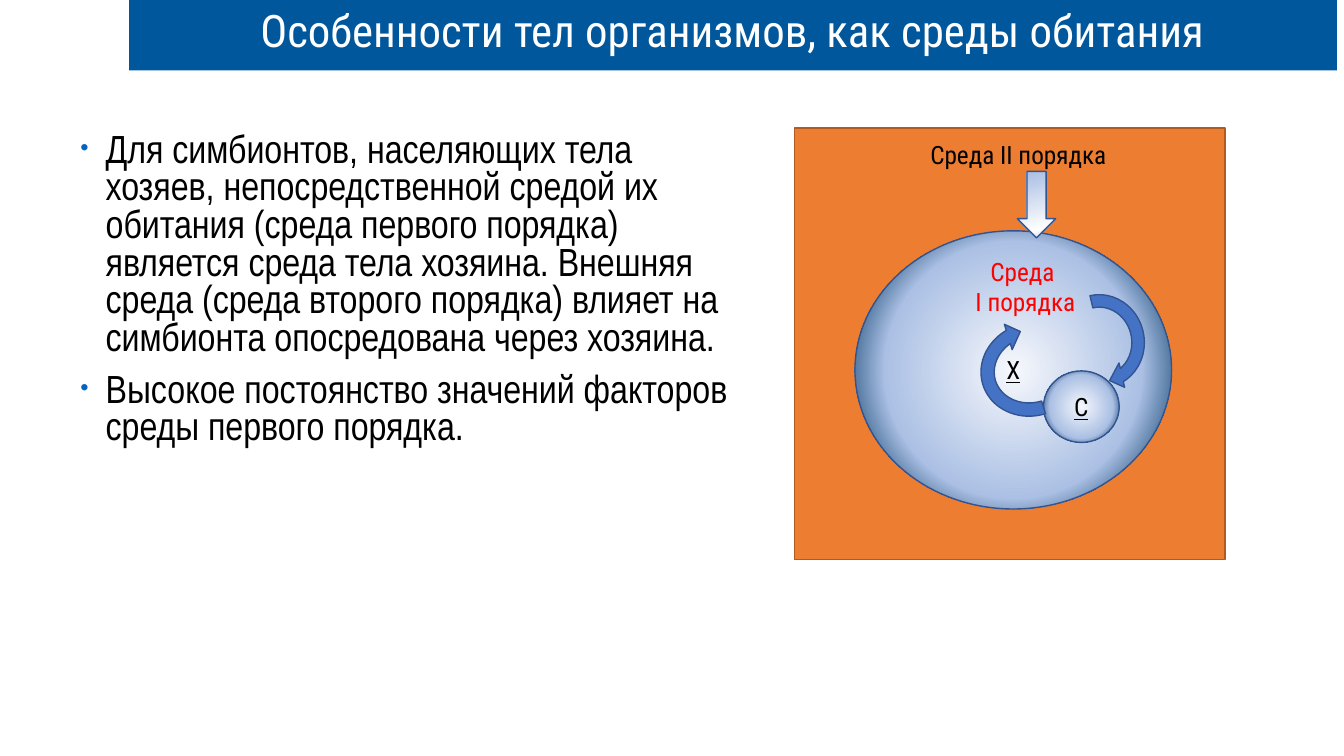
"""Build a slide on the bodies of organisms as a habitat."""
import dataclasses

import pptx
import pptx.dml.color
import pptx.enum.shapes
import pptx.enum.text
import pptx.oxml
import pptx.oxml.ns
import pptx.util

Inches = pptx.util.Inches
Pt = pptx.util.Pt
Kind = pptx.enum.shapes.MSO_SHAPE
Align = pptx.enum.text.PP_ALIGN
Anchor = pptx.enum.text.MSO_ANCHOR


@dataclasses.dataclass(frozen=True)
class Theme:
    """Hold the colours, fonts and sizes of the slide."""
    banner: str = "00579C"
    host: str = "ED7D31"
    rim: str = "AF5C24"
    edge: str = "325491"
    arrow: str = "4472C4"
    bullet: str = "0563C1"
    black: str = "000000"
    white: str = "FFFFFF"
    red: str = "FF0000"
    cell: tuple = ((0, "F6F8FC"), (61, "ABC0E4"), (84, "1F4E79"), (100, "C7D5ED"))
    flow: tuple = ((0, "F6F8FC"), (5, "ABC0E4"), (84, "FFFFFF"), (100, "C7D5ED"))
    head: str = "Roboto Condensed"
    text: str = "Arial Narrow"
    title: int = 32
    body: int = 28
    label: int = 18


THEME = Theme()
ROUND = ('<a:path path="circle"><a:fillToRect l="50000" t="50000" '
         'r="50000" b="50000"/></a:path>')
SLANT = '<a:lin ang="20760000" scaled="0"/>'
POINTS = (
    "Для симбионтов, населяющих тела хозяев, непосредственной средой их обитания "
    "(среда первого порядка) является среда тела хозяина. Внешняя среда (среда "
    "второго порядка) влияет на симбионта опосредована через хозяина.",
    "Высокое постоянство значений факторов среды первого порядка.",
)


def color(code):
    """Turn a hex code into a colour."""
    return pptx.dml.color.RGBColor.from_string(code)


def assign(item, values):
    """Set each value of a dict on an object."""
    for name, value in values.items():
        setattr(item, name, value)


def xml(tag, inner="", attrs=""):
    """Make one drawing element."""
    return pptx.oxml.parse_xml(
        f'<a:{tag} {pptx.oxml.ns.nsdecls("a")} {attrs}>{inner}</a:{tag}>')


def write(frame, lines, size, face, tint, line=None, font=None):
    """Fill a text frame with one paragraph per line."""
    assign(frame, {"word_wrap": True})
    for spot, words in enumerate(lines):
        para = frame.paragraphs[0] if spot == 0 else frame.add_paragraph()
        assign(para, {"alignment": Align.CENTER, **(line or {})})
        run = para.add_run()
        run.text = words
        assign(run.font, {"size": Pt(size), "name": face, **(font or {})})
        run.font.color.rgb = color(tint)


def blend(shape, stops, course):
    """Fill a shape with a gradient."""
    marks = "".join(f'<a:gs pos="{place * 1000}"><a:srgbClr val="{code}"/></a:gs>'
                    for place, code in stops)
    fill = xml("gradFill", f"<a:gsLst>{marks}</a:gsLst>{course}", 'rotWithShape="1"')
    shape.element.spPr.find(pptx.oxml.ns.qn("a:prstGeom")).addnext(fill)


def draw(slide, kind, area, fill=None, line=None, turn=0):
    """Add a preset shape with a plain fill and outline."""
    shape = slide.shapes.add_shape(kind, *map(Inches, area))
    shape.shadow.inherit = False
    shape.rotation = turn
    if fill:
        shape.fill.solid()
        shape.fill.fore_color.rgb = color(fill)
    if line:
        shape.line.color.rgb = color(line)
        shape.line.width = Pt(1)
    else:
        shape.line.fill.background()
    return shape


def banner(slide, words):
    """Add the title bar."""
    bar = draw(slide, Kind.RECTANGLE, (1.28, -0.04, 11.98, 0.74), THEME.banner)
    bar.text_frame.vertical_anchor = Anchor.MIDDLE
    write(bar.text_frame, [words], THEME.title, THEME.head, THEME.white,
          {"line_spacing": 0.9})


def points(slide, lines):
    """Add the bulleted text."""
    box = slide.shapes.add_textbox(*map(Inches, (0.7, 1.27, 6.76, 5.49)))
    write(box.text_frame, lines, THEME.body, THEME.text, THEME.black,
          {"alignment": Align.LEFT, "line_spacing": 0.8})
    for spot, para in enumerate(box.text_frame.paragraphs):
        para.space_before = Pt(10 if spot else 0)
        props = para._p.get_or_add_pPr()
        props.set("marL", str(Inches(0.25)))
        props.set("indent", str(Inches(-0.25)))
        props.append(xml("buClr", f'<a:srgbClr val="{THEME.bullet}"/>'))
        props.append(xml("buSzPct", attrs='val="60000"'))
        props.append(xml("buFont", attrs='typeface="Arial"'))
        props.append(xml("buChar", attrs='char="•"'))


def label(slide, area, lines, tint):
    """Add a centred caption."""
    box = slide.shapes.add_textbox(*map(Inches, area))
    write(box.text_frame, lines, THEME.label, THEME.head, tint)


def cell(slide, area, mark):
    """Add a shaded ellipse with an underlined letter."""
    shape = draw(slide, Kind.OVAL, area, line=THEME.edge)
    blend(shape, THEME.cell, ROUND)
    shape.text_frame.vertical_anchor = Anchor.MIDDLE
    write(shape.text_frame, [mark], THEME.label, THEME.head, THEME.black,
          font={"underline": True})


def scheme(slide):
    """Add the diagram of the two habitats."""
    draw(slide, Kind.RECTANGLE, (7.88, 1.27, 4.27, 4.28), THEME.host, THEME.rim)
    label(slide, (8.46, 1.33, 3.28, 0.4), ["Среда II порядка"], THEME.black)
    cell(slide, (8.48, 2.29, 3.14, 2.76), "Х")
    cell(slide, (10.35, 3.68, 0.75, 0.71), "С")
    for area, turn in (((10.39, 2.89, 1.05, 0.99), 77),
                       ((9.71, 3.09, 1.05, 1.15), 253)):
        draw(slide, Kind.CIRCULAR_ARROW, area, THEME.arrow, THEME.edge, turn)
    label(slide, (9.36, 2.49, 1.62, 0.71), ["Среда ", "I порядка"], THEME.red)
    arrow = draw(slide, Kind.RIGHT_ARROW, (9.95, 1.84, 0.66, 0.38),
                 line=THEME.edge, turn=90)
    blend(arrow, THEME.flow, SLANT)


def main():
    """Build and save the slide."""
    deck = pptx.Presentation()
    assign(deck, {"slide_width": Inches(13.33), "slide_height": Inches(7.5)})
    slide = deck.slides.add_slide(deck.slide_layouts[6])
    points(slide, POINTS)
    banner(slide, "Особенности тел организмов, как среды обитания")
    scheme(slide)
    deck.save("out.pptx")


if __name__ == "__main__":
    main()
